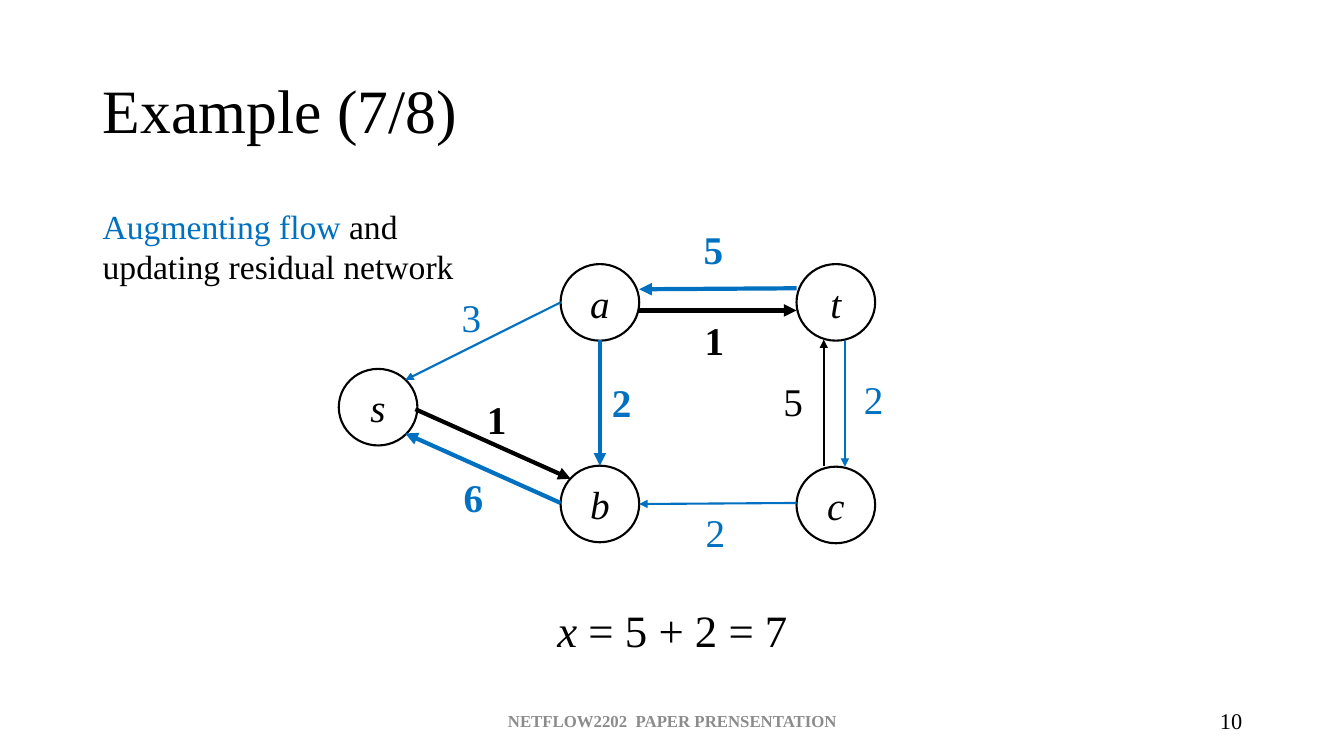
import pptx
import pptx.dml.color
import pptx.enum.shapes
import pptx.enum.text
import pptx.oxml
import pptx.oxml.ns
import pptx.util
from pptx.util import Inches

COLORS = {"black": "000000", "blue": "0070C0", "gray": "8C8C8C"}
FONT = "Times New Roman"
ALIGN = pptx.enum.text.PP_ALIGN
ANCHOR = pptx.enum.text.MSO_ANCHOR

# Content: node name -> left, top
NODE_SIZE = (0.78, 0.76)
NODES = {
    "s": (3.36, 3.66),
    "a": (5.56, 2.62),
    "t": (7.9, 2.62),
    "b": (5.56, 4.62),
    "c": (7.9, 4.63),
}

# Edges: start, end, color, on augmenting path, capacity, label left and top
EDGES = [
    ((5.56, 3), (4.02, 3.77), "blue", False, "3", (4.48, 2.86)),
    ((4.12, 4.06), (5.66, 4.75), "black", True, "1", (4.73, 3.87)),
    ((5.56, 4.99), (4.02, 4.3), "blue", True, "6", (4.5, 4.65)),
    ((5.95, 3.37), (5.95, 4.62), "blue", True, "2", (5.97, 3.7)),
    ((7.9, 2.86), (6.34, 2.87), "blue", True, "5", (6.88, 2.19)),
    ((6.34, 3.08), (7.9, 3.08), "black", True, "1", (6.89, 3.09)),
    ((8.17, 4.62), (8.17, 3.37), "black", False, "5", (7.67, 3.69)),
    ((8.38, 3.38), (8.38, 4.63), "blue", False, "2", (8.47, 3.67)),
    ((7.9, 4.99), (6.34, 5), "blue", False, "2", (6.9, 4.99)),
]
LABEL_SIZE = (0.61, 0.57)

# Texts: box, runs of (text, color, font format), alignment, anchor
TITLE = ((0.92, 0.4, 11.5, 1.45), [("Example (7/8)", "black", {"size": 44})],
         ALIGN.LEFT, ANCHOR.MIDDLE)
TEXTS = [
    ((0.92, 1.99, 3.9, 0.91),
     [("Augmenting flow ", "blue", {"size": 24}),
      ("and updating residual network", "black", {"size": 24})],
     ALIGN.LEFT, ANCHOR.TOP),
    ((4.87, 5.93, 3.6, 0.64),
     [("x", "black", {"size": 32, "italic": True}),
      (" = 5 + 2 = 7", "black", {"size": 32})],
     ALIGN.CENTER, ANCHOR.TOP),
    ((4.42, 6.95, 4.5, 0.4),
     [("NETFLOW2202  PAPER PRENSENTATION", "gray", {"size": 12, "bold": True})],
     ALIGN.CENTER, ANCHOR.MIDDLE),
    ((9.42, 6.95, 3, 0.4), [("10", "black", {"size": 16})],
     ALIGN.RIGHT, ANCHOR.MIDDLE),
]


def rgb(name):
    return pptx.dml.color.RGBColor.from_string(COLORS[name])


def write(shape, runs, alignment, anchor):
    frame = shape.text_frame
    frame.word_wrap = True
    frame.auto_size = pptx.enum.text.MSO_AUTO_SIZE.NONE
    frame.vertical_anchor = anchor
    paragraph = frame.paragraphs[0]
    paragraph.alignment = alignment
    for text, color, font_format in runs:
        run = paragraph.add_run()
        run.text = text
        values = {"name": FONT, **font_format,
                  "size": pptx.util.Pt(font_format["size"])}
        for attribute, value in values.items():
            setattr(run.font, attribute, value)
        run.font.color.rgb = rgb(color)


def add_text(slide, box, runs, alignment, anchor):
    shape = slide.shapes.add_textbox(*map(Inches, box))
    write(shape, runs, alignment, anchor)


def add_title(slide, box, runs, alignment, anchor):
    title = slide.shapes.title
    for attribute, value in zip(("left", "top", "width", "height"), box):
        setattr(title, attribute, Inches(value))
    write(title, runs, alignment, anchor)
    title.text_frame.paragraphs[0].line_spacing = 0.9


def add_node(slide, name, position):
    node = slide.shapes.add_shape(
        pptx.enum.shapes.MSO_SHAPE.OVAL, *map(Inches, position + NODE_SIZE))
    node.shadow.inherit = False
    node.fill.background()
    node.line.color.rgb = rgb("black")
    node.line.width = pptx.util.Pt(1.5)
    write(node, [(name, "black", {"size": 28, "italic": True})],
          ALIGN.CENTER, ANCHOR.MIDDLE)


def add_edge(slide, start, end, color, augmenting, capacity, label_position):
    edge = slide.shapes.add_connector(
        pptx.enum.shapes.MSO_CONNECTOR.STRAIGHT, *map(Inches, start + end))
    edge.line.color.rgb = rgb(color)
    edge.line.width = pptx.util.Pt(3 if augmenting else 1.5)
    # Arrowhead at the end, and no shadow
    arrow = pptx.oxml.parse_xml(
        f'<a:tailEnd {pptx.oxml.ns.nsdecls("a")} type="triangle"/>')
    edge.line._get_or_add_ln().append(arrow)
    edge._element.spPr.append(
        pptx.oxml.parse_xml(f'<a:effectLst {pptx.oxml.ns.nsdecls("a")}/>'))
    add_text(slide, label_position + LABEL_SIZE,
             [(capacity, color, {"size": 28, "bold": augmenting})],
             ALIGN.LEFT, ANCHOR.TOP)


def main():
    presentation = pptx.Presentation()
    presentation.slide_width = Inches(13.33)
    presentation.slide_height = Inches(7.5)
    slide = presentation.slides.add_slide(presentation.slide_layouts[5])

    add_title(slide, *TITLE)

    # Residual network
    for name, position in NODES.items():
        add_node(slide, name, position)
    for edge in EDGES:
        add_edge(slide, *edge)

    # Explanation, flow value and footer
    for text in TEXTS:
        add_text(slide, *text)

    presentation.save("out.pptx")


if __name__ == "__main__":
    main()
